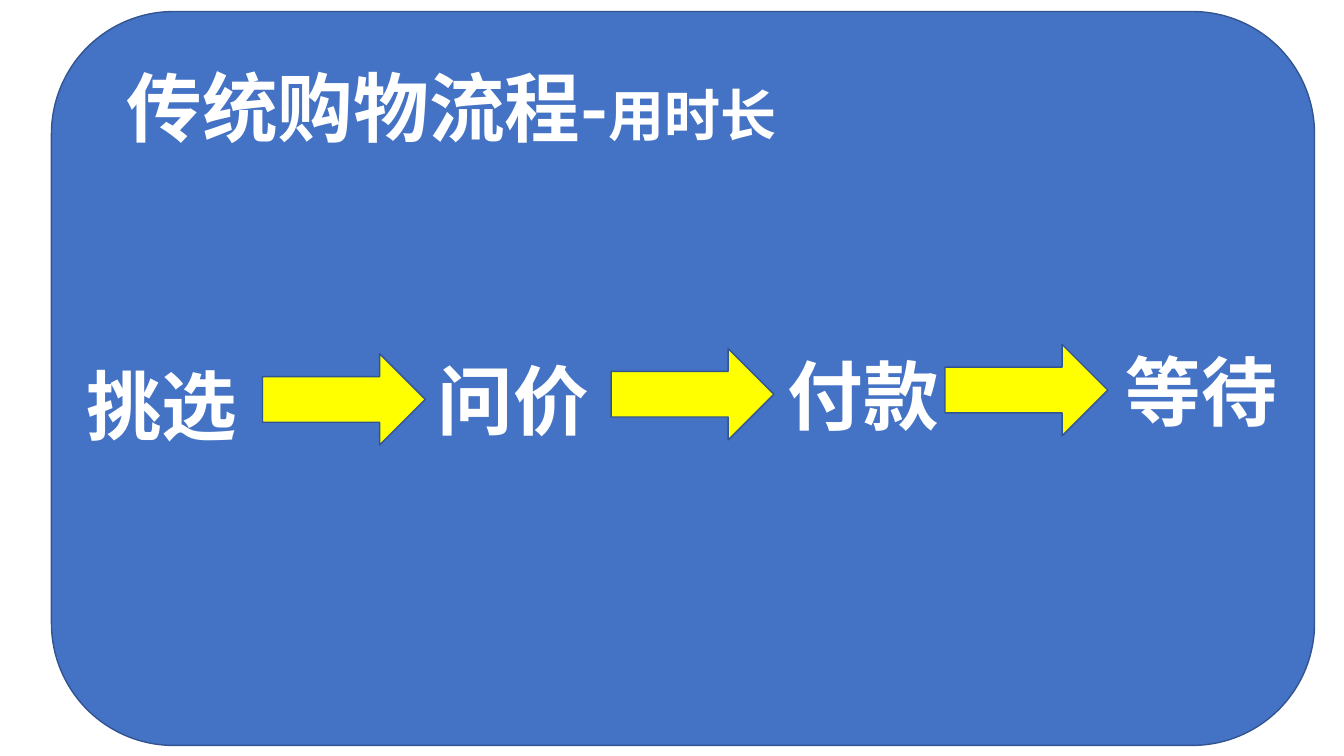
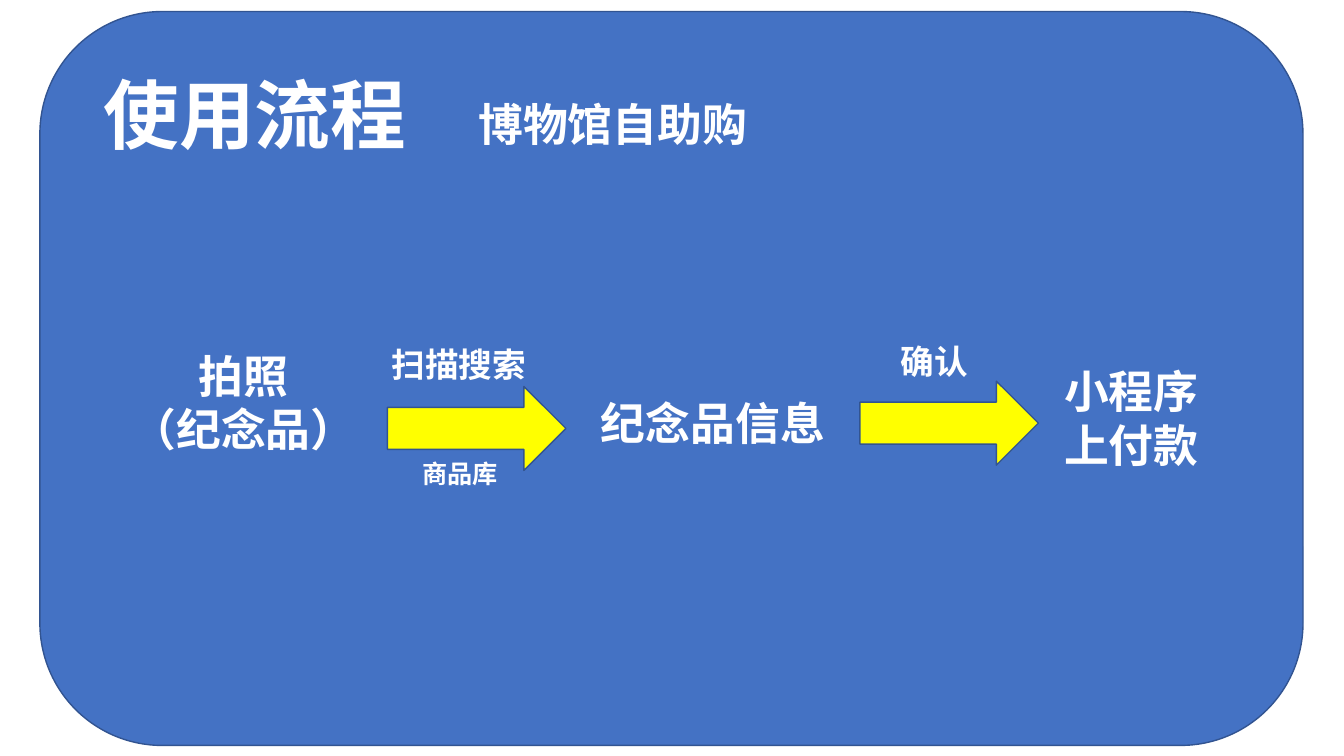
from lxml import etree
from pptx import Presentation
from pptx.dml.color import RGBColor
from pptx.enum.shapes import MSO_SHAPE
from pptx.enum.text import MSO_ANCHOR, MSO_AUTO_SIZE, PP_ALIGN
from pptx.oxml.ns import qn
from pptx.util import Pt

PX = 9525
FONT = "Noto Sans CJK SC"
BLUE = RGBColor(0x44, 0x72, 0xC4)
EDGE = RGBColor(0x32, 0x54, 0x91)
YELLOW = RGBColor(0xFF, 0xFF, 0x00)
WHITE = RGBColor(0xFF, 0xFF, 0xFF)
ROUND, ARROW = MSO_SHAPE.ROUNDED_RECTANGLE, MSO_SHAPE.RIGHT_ARROW
CENTER, JUSTIFY = PP_ALIGN.CENTER, PP_ALIGN.JUSTIFY
FRAME = {
    "vertical_anchor": MSO_ANCHOR.TOP,
    "auto_size": MSO_AUTO_SIZE.SHAPE_TO_FIT_TEXT,
}
BOLD = {"name": FONT, "bold": True}


def apply(item, values):
    for key, value in values.items():
        setattr(item, key, value)


def scale(*sizes):
    return [size * PX for size in sizes]


def write(box, lines, align=CENTER, wrap=True):
    frame = box.text_frame
    apply(frame, {**FRAME, "word_wrap": wrap})
    for row, parts in enumerate(lines):
        para = frame.add_paragraph() if row else frame.paragraphs[0]
        para.alignment = align
        for text, size in parts:
            run = para.add_run()
            run.text = text
            apply(run.font, {**BOLD, "size": Pt(size)})
            run.font.color.rgb = WHITE
            props = run.font._element
            etree.SubElement(props, qn("a:ea")).set("typeface", FONT)


def label(slide, place, text, size, **style):
    box = slide.shapes.add_textbox(*scale(*place))
    write(box, [[(line, size)] for line in text.split("\n")], **style)


def block(slide, kind, place, color):
    shape = slide.shapes.add_shape(kind, *scale(*place))
    shape.shadow.inherit = False
    shape.fill.solid()
    shape.fill.fore_color.rgb = color
    shape.line.color.rgb = EDGE
    shape.line.width = Pt(1)
    return shape


def start(deck, left, place, parts):
    slide = deck.slides.add_slide(deck.slide_layouts[5])
    panel = block(slide, ROUND, (left, 11, 1203, 699), BLUE)
    title = slide.shapes.title
    panel._element.addnext(title._element)
    spots = zip(("left", "top", "width", "height"), scale(*place))
    apply(title, dict(spots))
    write(title, [parts])
    return slide


def classic(deck):
    slide = start(deck, 49, (38, 53, 784, 97),
                  [("传统购物流程-", 54), ("用时长", 40)])
    steps = [("挑选", 61, 337), ("问价", 396, 332),
             ("付款", 729, 328), ("等待", 1051, 324)]
    for text, left, top in steps:
        label(slide, (left, top, 186, 97), text, 54)
    for left, (_, _, top) in zip((250, 582, 900), steps):
        block(slide, ARROW, (left, top, 155, 87), YELLOW)


def museum(deck):
    slide = start(deck, 38, (74, 60, 337, 97), [("使用流程", 54)])
    label(slide, (446, 87, 294, 61), "博物馆自助购", 32, align=JUSTIFY)
    for left, top in ((369, 368), (819, 363)):
        block(slide, ARROW, (left, top, 170, 80), YELLOW)
    for place, text, size in (
        ((102, 327, 260, 113), "拍照\n（纪念品）", 32),
        ((549, 372, 260, 61), "纪念品信息", 32),
        ((1001, 342, 153, 113), "小程序上付款", 32),
        ((307, 323, 260, 48), "扫描搜索", 24),
        ((831, 320, 118, 48), "确认", 24),
    ):
        label(slide, place, text, size)
    label(slide, (392, 432, 92, 38), "商品库", 18, wrap=False)


def main():
    deck = Presentation()
    deck.slide_width, deck.slide_height = scale(1280, 720)
    classic(deck)
    museum(deck)
    deck.save("out.pptx")


if __name__ == "__main__":
    main()
